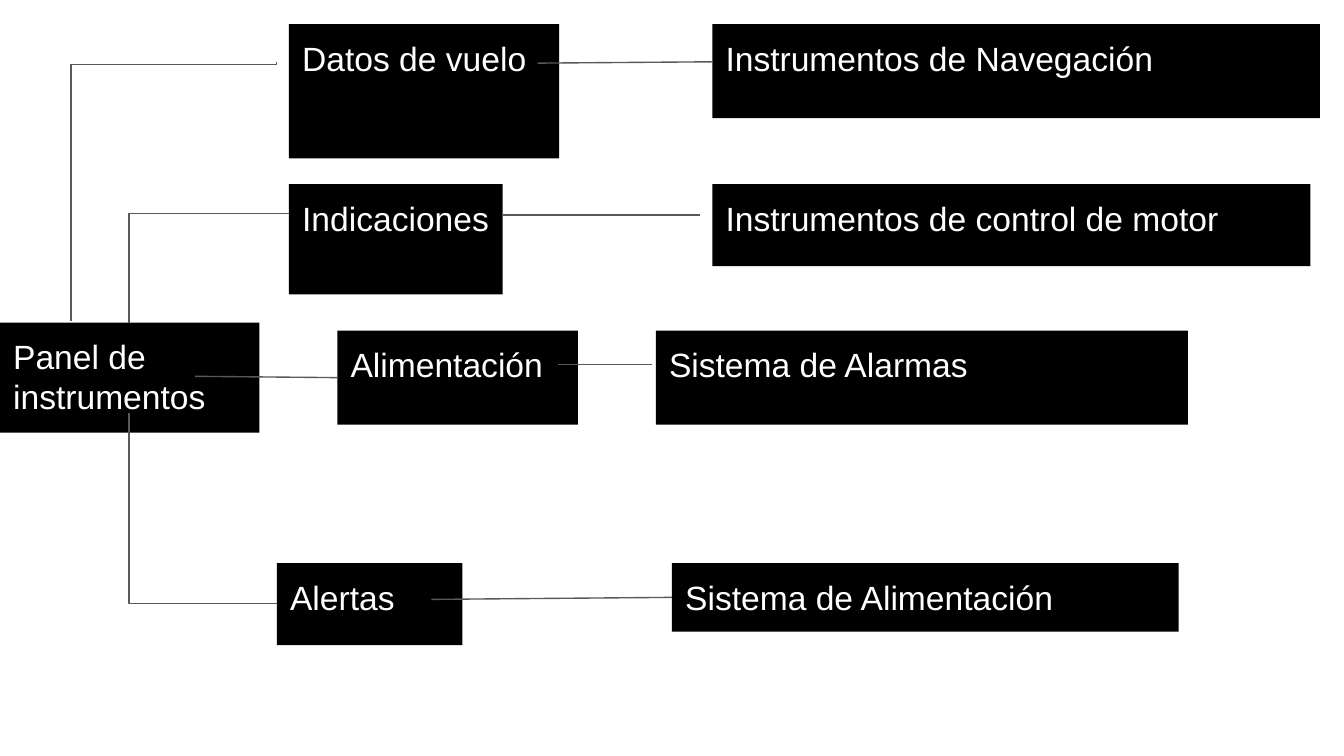
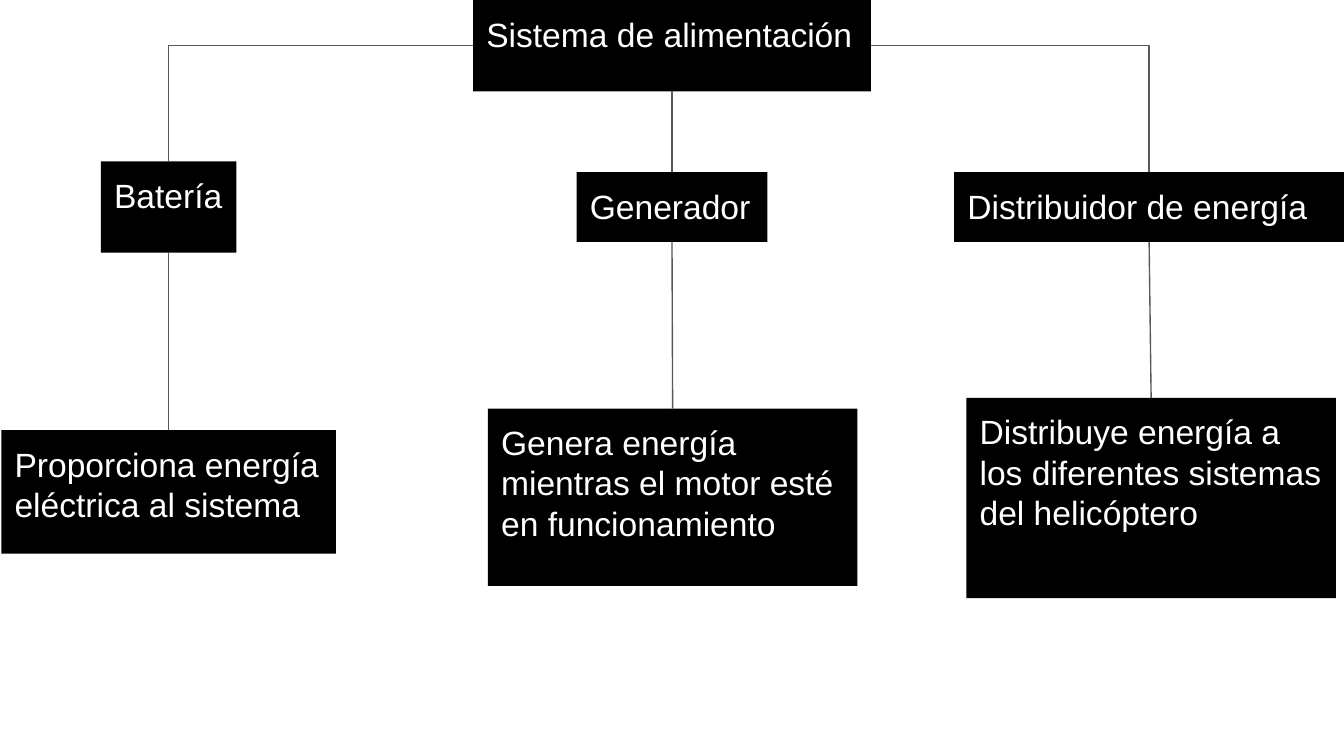
from typing import NamedTuple

from lxml.etree import SubElement
from pptx import Presentation
from pptx.dml.color import RGBColor
from pptx.enum.shapes import MSO_CONNECTOR, MSO_SHAPE
from pptx.enum.text import MSO_ANCHOR, PP_ALIGN
from pptx.oxml.ns import qn
from pptx.shapes.autoshape import Shape
from pptx.util import Inches, Pt

BLACK = RGBColor(0x00, 0x00, 0x00)
WHITE = RGBColor(0xFF, 0xFF, 0xFF)
GRAY = RGBColor(0x59, 0x59, 0x59)

COLUMNS, ROWS = 100, 56.25
BLANK_LAYOUT = 6
TOP, LEFT, BOTTOM, RIGHT = range(4)


class Joint(NamedTuple):
    """The middle of one side of a box."""
    box: Shape
    side: int


class Diagram:
    """Black boxes and thin gray lines, placed on a grid of COLUMNS by ROWS."""
    font_name = "Arial"
    font_size = Pt(18)
    inset = Inches(0.1)
    line_width = Pt(0.75)

    def __init__(self):
        self.deck = Presentation()
        self.deck.slide_width = Inches(10)
        self.deck.slide_height = Inches(5.625)
        self.column = self.deck.slide_width / COLUMNS
        self.row = self.deck.slide_height / ROWS
        self.slide = None

    def new_slide(self):
        self.slide = self.deck.slides.add_slide(self.deck.slide_layouts[BLANK_LAYOUT])

    def place(self, column, row):
        return round(column * self.column), round(row * self.row)

    def box(self, text, column, row, columns, rows):
        box = self.slide.shapes.add_shape(
            MSO_SHAPE.RECTANGLE, *self.place(column, row), *self.place(columns, rows))
        box.shadow.inherit = False
        box.fill.solid()
        box.fill.fore_color.rgb = BLACK
        box.line.fill.background()
        frame = box.text_frame
        frame.word_wrap = True
        frame.vertical_anchor = MSO_ANCHOR.TOP
        frame.margin_left = frame.margin_right = self.inset
        frame.margin_top = frame.margin_bottom = self.inset
        frame.text = text
        label = frame.paragraphs[0]
        label.alignment = PP_ALIGN.LEFT
        label.font.name = self.font_name
        label.font.size = self.font_size
        label.font.color.rgb = WHITE
        return box

    def connector(self, kind, start, end):
        """Draw a connector; each end is a (column, row) point or a Joint."""
        ends = [(0, 0) if isinstance(tip, Joint) else self.place(*tip)
                for tip in (start, end)]
        connector = self.slide.shapes.add_connector(kind, *ends[0], *ends[1])
        if isinstance(start, Joint):
            connector.begin_connect(*start)
        if isinstance(end, Joint):
            connector.end_connect(*end)
        connector.line.color.rgb = GRAY
        connector.line.width = self.line_width
        SubElement(connector._element.spPr, qn("a:effectLst"))
        return connector

    def line(self, start, end):
        self.connector(MSO_CONNECTOR.STRAIGHT, start, end)

    def elbow(self, start, end, bend=None):
        """Go sideways, then up or down; bend is the share at which a third leg begins."""
        connector = self.connector(MSO_CONNECTOR.ELBOW, start, end)
        geometry = connector._element.spPr.find(qn("a:prstGeom"))
        if bend is None:
            geometry.set("prst", "bentConnector2")
        else:
            guide = SubElement(geometry.find(qn("a:avLst")), qn("a:gd"))
            guide.set("name", "adj1")
            guide.set("fmla", f"val {round(bend * 100000)}")
        return connector

    def upright_elbow(self, start, end, bend=None):
        """Go up or down first: a sideways elbow turned by three quarters."""
        center_x, center_y = ((a + b) / 2 for a, b in zip(start, end))
        turned = [(center_x + center_y - y, center_y + x - center_x)
                  for x, y in (start, end)]
        connector = self.elbow(*turned, bend)
        connector._element.spPr.find(qn("a:xfrm")).set("rot", str(270 * 60000))


def instrument_panel(diagram):
    diagram.new_slide()
    diagram.box("Panel de instrumentos", 0, 24, 19.3, 8.2)
    diagram.box("Datos de vuelo", 21.5, 1.8, 20.1, 10)
    diagram.box("Indicaciones", 21.5, 13.7, 15.9, 8.2)
    diagram.box("Alertas", 20.6, 41.9, 13.8, 6.1)
    supply = diagram.box("Alimentación", 25.1, 24.6, 17.9, 7)
    diagram.box("Instrumentos de Navegación", 53, 1.8, 45.2, 7)
    diagram.box("Instrumentos de control de motor", 53, 13.7, 44.5, 6.1)
    diagram.box("Sistema de Alarmas", 48.8, 24.6, 39.6, 7)
    supply_system = diagram.box("Sistema de Alimentación", 50, 41.9, 37.7, 5.1)

    diagram.upright_elbow((5.3, 23.9), (20.6, 4.6), bend=0.99)
    diagram.upright_elbow((9.6, 24), (21.5, 15.9))
    diagram.line((14.5, 28), Joint(supply, LEFT))
    diagram.upright_elbow((9.6, 30.7), (20.6, 44.9))
    diagram.line((40, 4.7), (53, 4.6))
    diagram.line((37.4, 16), (52.1, 16))
    diagram.line((41.5, 27.1), (48.5, 27.1))
    diagram.line((32.1, 44.6), Joint(supply_system, LEFT))


def power_system(diagram):
    diagram.new_slide()
    system = diagram.box("Sistema de alimentación", 35.2, 0, 29.6, 6.8)
    battery = diagram.box("Batería", 7.5, 12, 10.1, 6.8)
    generator = diagram.box("Generador", 42.9, 12.8, 14.2, 5.2)
    distributor = diagram.box("Distribuidor de energía", 71, 12.8, 29, 5.2)
    battery_role = diagram.box(
        "Proporciona energía eléctrica al sistema", 0.1, 32, 24.9, 9.2)
    generator_role = diagram.box(
        "Genera energía mientras el motor esté en funcionamiento", 36.3, 30.4, 27.5, 13.2)
    distributor_role = diagram.box(
        "Distribuye energía a los diferentes sistemas del helicóptero",
        71.9, 29.6, 27.5, 14.9)

    diagram.elbow(Joint(system, LEFT), Joint(battery, TOP))
    diagram.elbow(Joint(system, RIGHT), Joint(distributor, TOP))
    for part, role in ((battery, battery_role), (generator, generator_role),
                       (distributor, distributor_role)):
        diagram.line(Joint(part, BOTTOM), Joint(role, TOP))
    diagram.line(Joint(system, BOTTOM), Joint(generator, TOP))


def main():
    diagram = Diagram()
    instrument_panel(diagram)
    power_system(diagram)
    diagram.deck.save("out.pptx")


if __name__ == "__main__":
    main()
